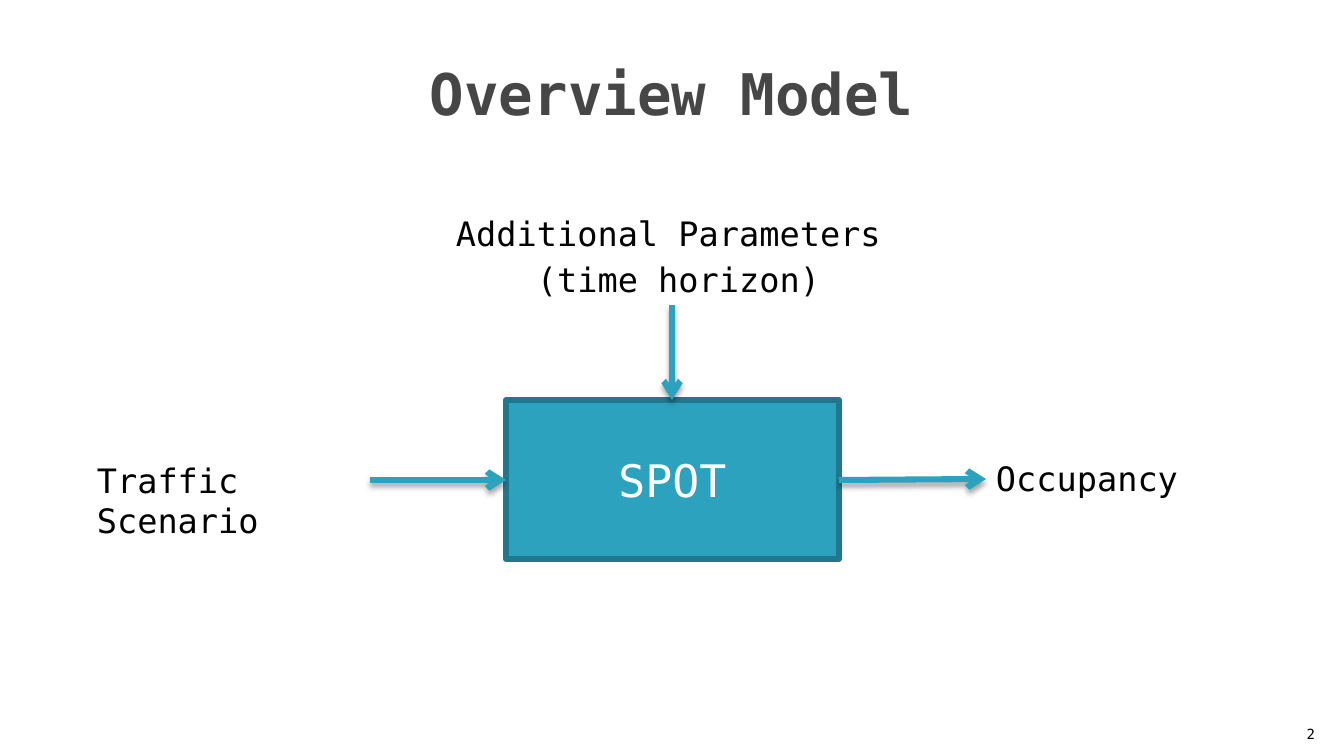
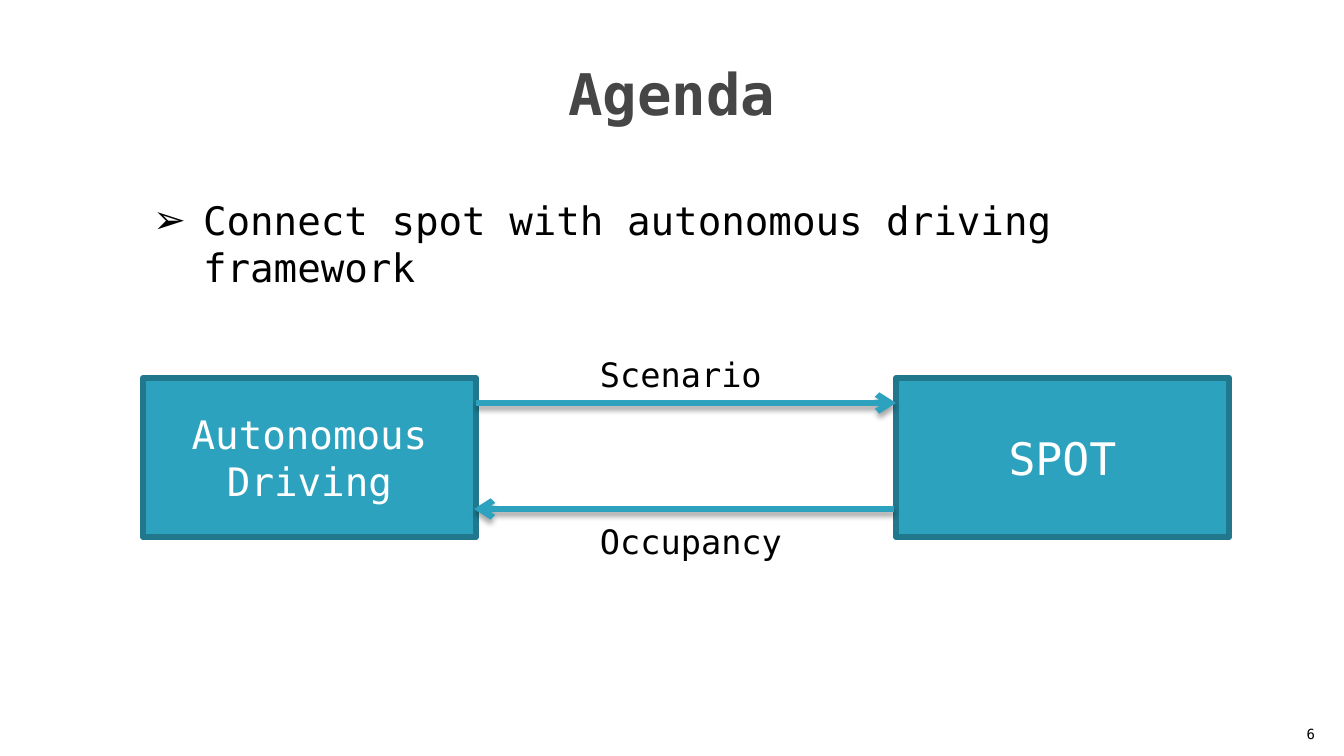
from dataclasses import dataclass

import lxml.etree
import pptx
import pptx.dml.color
import pptx.enum.shapes
import pptx.enum.text
import pptx.oxml.ns
import pptx.util

# Shared look
SLIDE_W, SLIDE_H = 1344, 756
EMU_PER_PX = 12192000 / SLIDE_W
FONT = "DejaVu Sans Mono"
COLORS = {
    "title": "464646",
    "text": "000000",
    "box_text": "FFFFFF",
    "accent": "2DA2BF",
    "box_edge": "21788D",
    "shadow": "000000",
}
STROKE = pptx.util.Pt(4.33)
BOX_W, BOX_H = 333, 159
LABEL_H = 50
ALIGN = pptx.enum.text.PP_ALIGN
ANCHOR = pptx.enum.text.MSO_ANCHOR


@dataclass(frozen=True)
class Box:
    left: int
    top: int
    lines: tuple[str, ...]
    size: int = 32


@dataclass(frozen=True)
class Label:
    left: int
    top: int
    width: int
    text: str


@dataclass(frozen=True)
class Arrow:
    x1: int
    y1: int
    x2: int
    y2: int


@dataclass(frozen=True)
class Body:
    left: int
    top: int
    width: int
    height: int
    lines: tuple[str, ...]
    size: int
    align: ALIGN
    margin: int
    indent: int = 0
    space_before: int = 0
    bullet: str = ""


@dataclass(frozen=True)
class Page:
    number: int
    title: str
    body: Body
    boxes: tuple[Box, ...]
    arrows: tuple[Arrow, ...]
    labels: tuple[Label, ...]


def px(length: int) -> int:
    return round(length * EMU_PER_PX)


def rgb(name: str) -> pptx.dml.color.RGBColor:
    return pptx.dml.color.RGBColor.from_string(COLORS[name])


def add_xml(parent, tag: str, **attributes):
    return lxml.etree.SubElement(parent, pptx.oxml.ns.qn(tag), attributes)


def place(shape, left: int, top: int, width: int, height: int) -> None:
    shape.left, shape.top = px(left), px(top)
    shape.width, shape.height = px(width), px(height)


def write(shape, lines: tuple[str, ...], size: int, color: str = "text",
          align: ALIGN = ALIGN.LEFT, anchor: ANCHOR = ANCHOR.TOP,
          bold: bool = False) -> None:
    frame = shape.text_frame
    frame.word_wrap = True
    frame.auto_size = pptx.enum.text.MSO_AUTO_SIZE.NONE
    frame.vertical_anchor = anchor
    for index, line in enumerate(lines):
        paragraph = frame.add_paragraph() if index else frame.paragraphs[0]
        paragraph.alignment = align
        run = paragraph.add_run()
        run.text = line
        run.font.name = FONT
        run.font.size = pptx.util.Pt(size)
        run.font.bold = bold
        run.font.color.rgb = rgb(color)


def draw_title(slide, text: str) -> None:
    title = slide.shapes.title
    place(title, 67, 30, 1210, 126)
    write(title, (text,), 41, "title", ALIGN.CENTER, ANCHOR.MIDDLE, bold=True)


def draw_body(slide, body: Body) -> None:
    holder = slide.placeholders[1]
    place(holder, body.left, body.top, body.width, body.height)
    write(holder, body.lines, body.size, align=body.align)
    for paragraph in holder.text_frame.paragraphs:
        paragraph.space_before = pptx.util.Pt(body.space_before)
        properties = paragraph._p.get_or_add_pPr()
        properties.set("marL", str(px(body.margin)))
        properties.set("indent", str(px(body.indent)))
        if body.bullet:
            add_xml(properties, "a:buChar", char=body.bullet)
        else:
            add_xml(properties, "a:buNone")


def draw_number(slide, number: int) -> None:
    footer = slide.shapes.add_textbox(0, 0, 0, 0)
    place(footer, 1271, 707, 54, 40)
    write(footer, (str(number),), 10, align=ALIGN.RIGHT, anchor=ANCHOR.BOTTOM)


def draw_box(slide, box: Box) -> None:
    block = slide.shapes.add_shape(
        pptx.enum.shapes.MSO_SHAPE.RECTANGLE,
        px(box.left), px(box.top), px(BOX_W), px(BOX_H))
    block.shadow.inherit = False
    block.fill.solid()
    block.fill.fore_color.rgb = rgb("accent")
    block.line.color.rgb = rgb("box_edge")
    block.line.width = STROKE
    add_xml(block.line._get_or_add_ln(), "a:round")
    write(block, box.lines, box.size, "box_text", ALIGN.CENTER, ANCHOR.MIDDLE)


def draw_arrow(slide, arrow: Arrow) -> None:
    flow = slide.shapes.add_connector(
        pptx.enum.shapes.MSO_CONNECTOR.STRAIGHT,
        px(arrow.x1), px(arrow.y1), px(arrow.x2), px(arrow.y2))
    flow.line.color.rgb = rgb("accent")
    flow.line.width = STROKE
    add_xml(flow.line._get_or_add_ln(), "a:tailEnd", type="arrow")
    # Soft shadow straight below the line
    effects = add_xml(flow._element.spPr, "a:effectLst")
    shadow = add_xml(effects, "a:outerShdw",
                     blurRad=str(pptx.util.Pt(4)), dist=str(pptx.util.Pt(3)),
                     dir="5400000", rotWithShape="0")
    tint = add_xml(shadow, "a:srgbClr", val=COLORS["shadow"])
    add_xml(tint, "a:alpha", val="35000")


def draw_label(slide, label: Label) -> None:
    caption = slide.shapes.add_textbox(0, 0, 0, 0)
    place(caption, label.left, label.top, label.width, LABEL_H)
    write(caption, (label.text,), 24)


def draw_page(deck, page: Page) -> None:
    slide = deck.slides.add_slide(deck.slide_layouts[1])
    draw_number(slide, page.number)
    draw_title(slide, page.title)
    draw_body(slide, page.body)
    for box in page.boxes:
        draw_box(slide, box)
    for arrow in page.arrows:
        draw_arrow(slide, arrow)
    for label in page.labels:
        draw_label(slide, label)


# Content
PAGES = (
    Page(
        2, "Overview Model",
        Body(371, 208, 603, 97, ("Additional Parameters ", "(time horizon)"),
             24, ALIGN.CENTER, margin=12, space_before=4),
        boxes=(Box(506, 400, ("SPOT",)),),
        arrows=(
            Arrow(370, 480, 506, 480),
            Arrow(672, 305, 672, 400),
            Arrow(839, 480, 986, 479),
        ),
        labels=(
            Label(87, 455, 282, "Traffic Scenario"),
            Label(986, 453, 221, "Occupancy"),
        ),
    ),
    Page(
        6, "Agenda",
        Body(143, 191, 1086, 57,
             ("Connect spot with autonomous driving framework",),
             28, ALIGN.LEFT, margin=50, indent=-50, bullet="➢"),
        boxes=(
            Box(143, 378, ("Autonomous", "Driving"), 28),
            Box(896, 378, ("SPOT",)),
        ),
        arrows=(Arrow(476, 403, 896, 403), Arrow(894, 509, 474, 509)),
        labels=(
            Label(590, 349, 221, "Scenario"),
            Label(590, 516, 221, "Occupancy"),
        ),
    ),
)


def main() -> None:
    deck = pptx.Presentation()
    deck.slide_width, deck.slide_height = px(SLIDE_W), px(SLIDE_H)
    for page in PAGES:
        draw_page(deck, page)
    deck.save("out.pptx")


if __name__ == "__main__":
    main()
